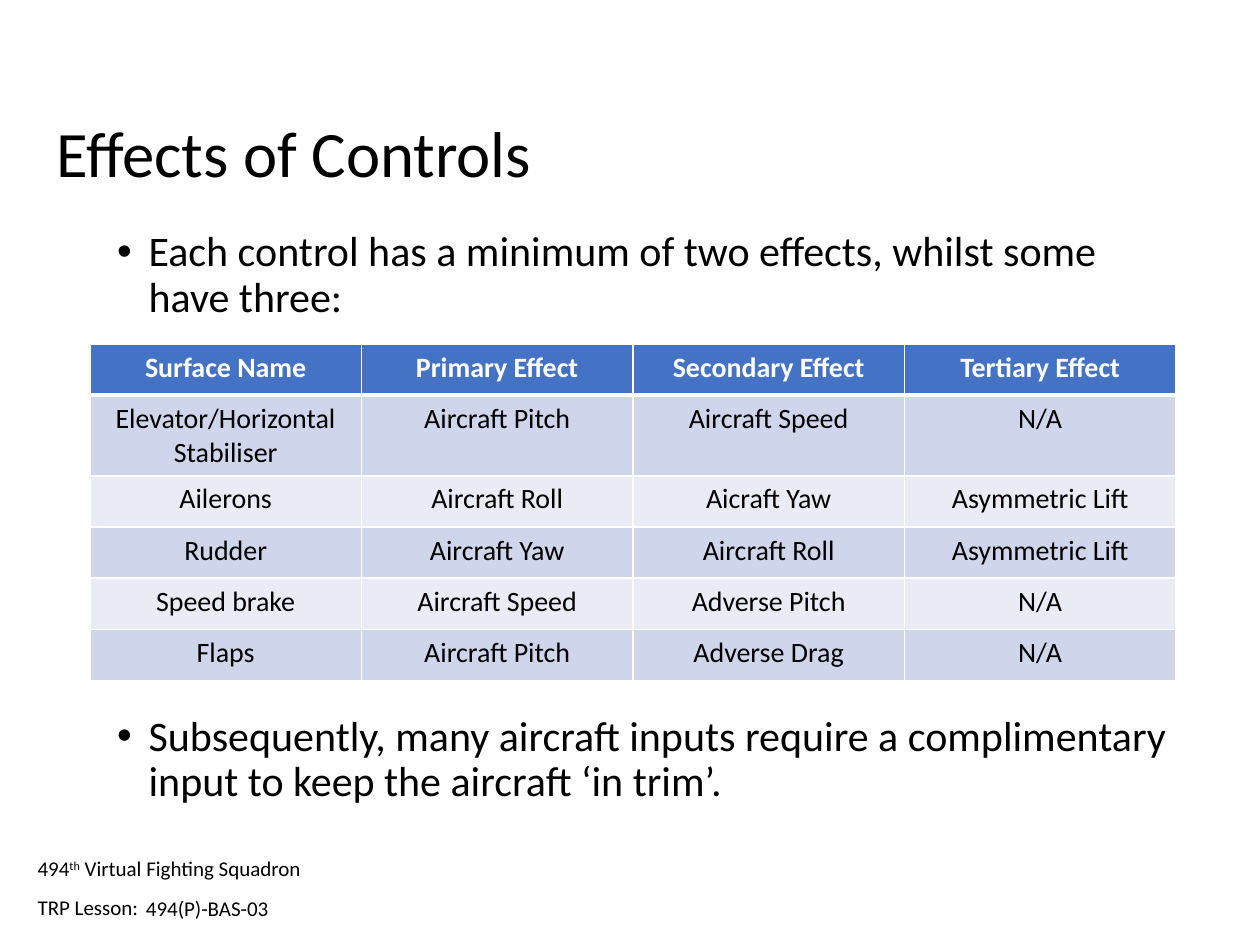
from lxml.etree import SubElement
from pptx import Presentation
from pptx.dml.color import RGBColor
from pptx.enum.text import MSO_ANCHOR, PP_ALIGN
from pptx.oxml.ns import qn
from pptx.util import Pt

COLORS = {
    "text": "000000",
    "white": "FFFFFF",
    "header": "4472C4",
    "odd": "CFD5EA",
    "even": "E9EBF5",
}

EFFECTS = [
    ("Surface Name", "Primary Effect", "Secondary Effect", "Tertiary Effect"),
    ("Elevator/Horizontal Stabiliser", "Aircraft Pitch", "Aircraft Speed", "N/A"),
    ("Ailerons", "Aircraft Roll", "Aicraft Yaw", "Asymmetric Lift"),
    ("Rudder", "Aircraft Yaw", "Aircraft Roll", "Asymmetric Lift"),
    ("Speed brake", "Aircraft Speed", "Adverse Pitch", "N/A"),
    ("Flaps", "Aircraft Pitch", "Adverse Drag", "N/A"),
]
ROW_HEIGHT = 29.2
TWO_LINE_ROW_HEIGHT = 46.2

# Bullet text and the space before it; the second gap leaves room for the table
BULLETS = [
    ("Each control has a minimum of two effects, whilst some have three:", 0),
    ("Subsequently, many aircraft inputs require a complimentary input "
     "to keep the aircraft ‘in trim’.", 225),
]


def rgb(color):
    return RGBColor.from_string(COLORS[color])


def apply_format(target, values):
    for name, value in values.items():
        setattr(target, name, value)


def add_run(paragraph, text, size, color="text", bold=False):
    run = paragraph.add_run()
    run.text = text
    apply_format(run.font, {"name": "Calibri", "size": Pt(size), "bold": bold})
    run.font.color.rgb = rgb(color)
    return run


def add_text_frame(slide, left, top, width, height):
    box = slide.shapes.add_textbox(Pt(left), Pt(top), Pt(width), Pt(height))
    apply_format(box.text_frame, {"word_wrap": True, "vertical_anchor": MSO_ANCHOR.TOP})
    return box.text_frame


def add_title(slide, text):
    paragraph = add_text_frame(slide, 25.2, 66.2, 620.6, 62.6).paragraphs[0]
    paragraph.line_spacing = 0.9
    add_run(paragraph, text, 37)


def add_bullet_mark(paragraph):
    properties = paragraph._p.get_or_add_pPr()
    properties.set("marL", str(Pt(18)))
    properties.set("indent", str(-Pt(18)))
    SubElement(properties, qn("a:buFont"), typeface="Arial")
    SubElement(properties, qn("a:buChar"), char="•")


def add_bullets(slide):
    body = add_text_frame(slide, 59.8, 128.2, 620.6, 342.7)
    for index, (text, gap) in enumerate(BULLETS):
        paragraph = body.add_paragraph() if index else body.paragraphs[0]
        apply_format(paragraph, {"line_spacing": 0.9, "space_before": Pt(gap)})
        add_bullet_mark(paragraph)
        add_run(paragraph, text, 24)


def add_footer(slide, left, top, width, parts):
    paragraph = add_text_frame(slide, left, top, width, 21.6).paragraphs[0]
    for text, superscript in parts:
        run = add_run(paragraph, text, 12)
        if superscript:
            run._r.get_or_add_rPr().set("baseline", "30000")


def add_borders(cell, row):
    widths = {"a:lnL": 1, "a:lnR": 1,
              "a:lnT": 3 if row == 1 else 1,
              "a:lnB": 3 if row == 0 else 1}
    properties = cell._tc.get_or_add_tcPr()
    for side, width in widths.items():
        line = SubElement(properties, qn(side), w=str(Pt(width)))
        fill = SubElement(line, qn("a:solidFill"))
        SubElement(fill, qn("a:srgbClr"), val=COLORS["white"])


def fill_cell(cell, text, row):
    add_borders(cell, row)
    cell.fill.solid()
    cell.fill.fore_color.rgb = rgb("header" if row == 0 else "odd" if row % 2 else "even")
    paragraph = cell.text_frame.paragraphs[0]
    paragraph.alignment = PP_ALIGN.CENTER
    add_run(paragraph, text, 16, "white" if row == 0 else "text", row == 0)


def add_effects_table(slide):
    rows, columns = len(EFFECTS), len(EFFECTS[0])
    table = slide.shapes.add_table(rows, columns, Pt(51.4), Pt(196.6),
                                   Pt(620.6), Pt(ROW_HEIGHT * rows)).table
    table.rows[1].height = Pt(TWO_LINE_ROW_HEIGHT)
    for row, texts in enumerate(EFFECTS):
        for column, text in enumerate(texts):
            fill_cell(table.cell(row, column), text, row)


def main():
    presentation = Presentation()
    apply_format(presentation, {"slide_width": Pt(720), "slide_height": Pt(540)})
    slide = presentation.slides.add_slide(presentation.slide_layouts[6])

    # Squadron and lesson lines at the foot
    add_footer(slide, 14.4, 485.3, 175.7,
               [("494", False), ("th", True), (" Virtual Fighting Squadron", False)])
    add_footer(slide, 14.4, 507.6, 175.7, [("TRP Lesson:", False)])

    # Title and bullets
    add_title(slide, "Effects of Controls")
    add_bullets(slide)

    # Lesson code
    add_footer(slide, 76.3, 508.3, 113, [("494(P)-BAS-03", False)])

    # Control effects between the bullets
    add_effects_table(slide)

    presentation.save("out.pptx")


if __name__ == "__main__":
    main()
